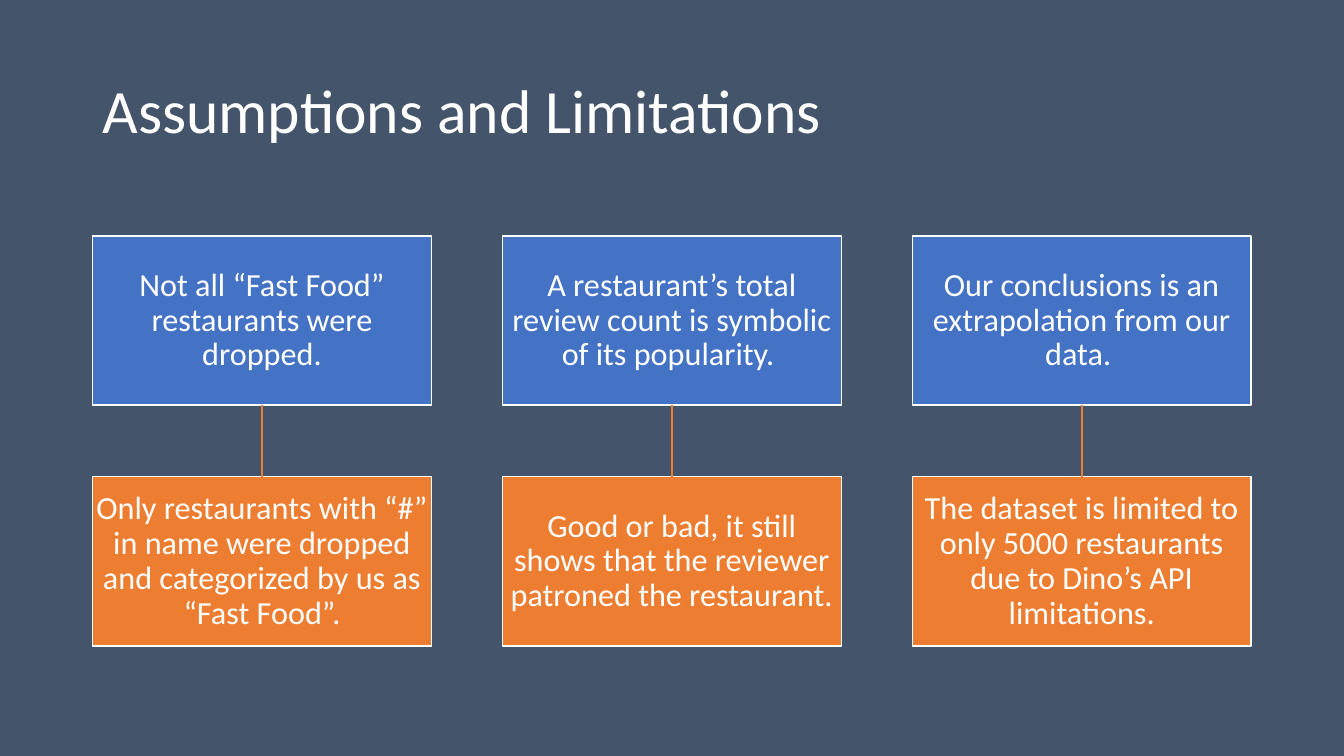
"""Builds the slide on assumptions and limitations."""
from lxml import etree
from pptx import Presentation
from pptx.dml.color import RGBColor
from pptx.enum import shapes, text
from pptx.oxml.ns import qn
from pptx.util import Inches, Pt


def paint(fill, color):
    fill.solid()
    fill.fore_color.rgb = RGBColor.from_string(color)


def write(shape, words, size, align, inset):
    frame = shape.text_frame
    form = {"word_wrap": True, "vertical_anchor": text.MSO_ANCHOR.MIDDLE}
    for side, gap in zip(("left", "right", "top", "bottom"), inset):
        form["margin_" + side] = Inches(gap)
    for name, value in form.items():
        setattr(frame, name, value)
    para = frame.paragraphs[0]
    para.alignment = align
    para.line_spacing = 0.9
    run = para.add_run()
    run.text = words
    run.font.name = "Calibri"
    run.font.size = Pt(size)
    paint(run.font.fill, "FFFFFF")


deck = Presentation()
deck.slide_width = Inches(13.33)
deck.slide_height = Inches(7.5)
slide = deck.slides.add_slide(deck.slide_layouts[6])
paint(slide.background.fill, "44546A")

title = slide.shapes.add_textbox(Inches(0.92), Inches(0.4), Inches(11.5), Inches(1.45))
write(title, "Assumptions and Limitations", 44, text.PP_ALIGN.LEFT, (0.1, 0.1, 0.05, 0.05))

pairs = [
    ("Not all “Fast Food” restaurants were dropped.",
     "Only restaurants with “#” in name were dropped and categorized by us as “Fast Food”."),
    ("A restaurant’s total review count is symbolic of its popularity. ",
     "Good or bad, it still shows that the reviewer patroned the restaurant."),
    ("Our conclusions is an extrapolation from our data. ",
     "The dataset is limited to only 5000 restaurants due to Dino’s API limitations."),
]
rows = [(2.34, "4472C4"), (4.73, "ED7D31")]
left, step, width, height = 0.92, 4.065, 3.36, 1.68

for col, pair in enumerate(pairs):
    boxes = []
    for words, (top, color) in zip(pair, rows):
        box = slide.shapes.add_shape(
            shapes.MSO_SHAPE.RECTANGLE, Inches(left + col * step), Inches(top),
            Inches(width), Inches(height))
        box.shadow.inherit = False
        paint(box.fill, color)
        paint(box.line.fill, "FFFFFF")
        box.line.width = Pt(1)
        write(box, words, 23, text.PP_ALIGN.CENTER, (0.02,) * 4)
        boxes.append(box)
    link = slide.shapes.add_connector(shapes.MSO_CONNECTOR.STRAIGHT, 0, 0, 0, 0)
    link.begin_connect(boxes[0], 2)
    link.end_connect(boxes[1], 0)
    paint(link.line.fill, "ED7D31")
    link.line.width = Pt(1)
    etree.SubElement(link._element.spPr, qn("a:effectLst"))

deck.save("out.pptx")
